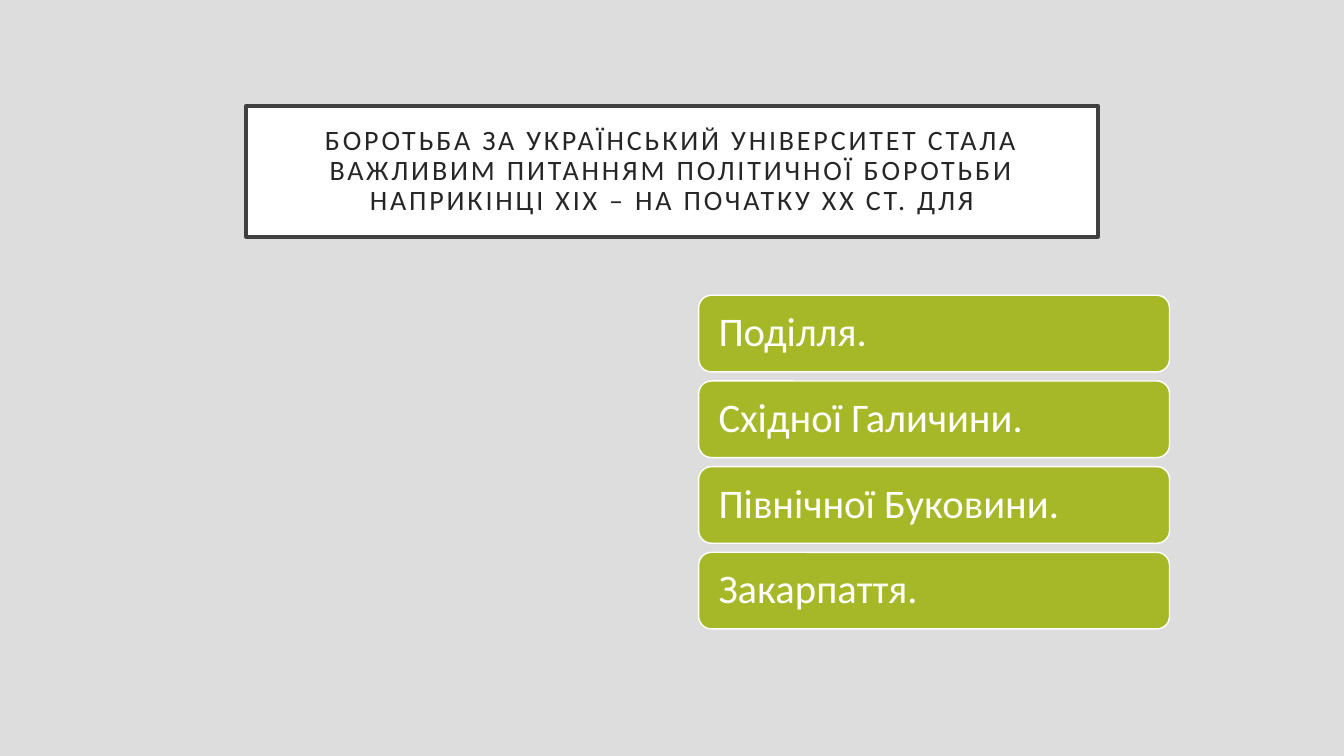
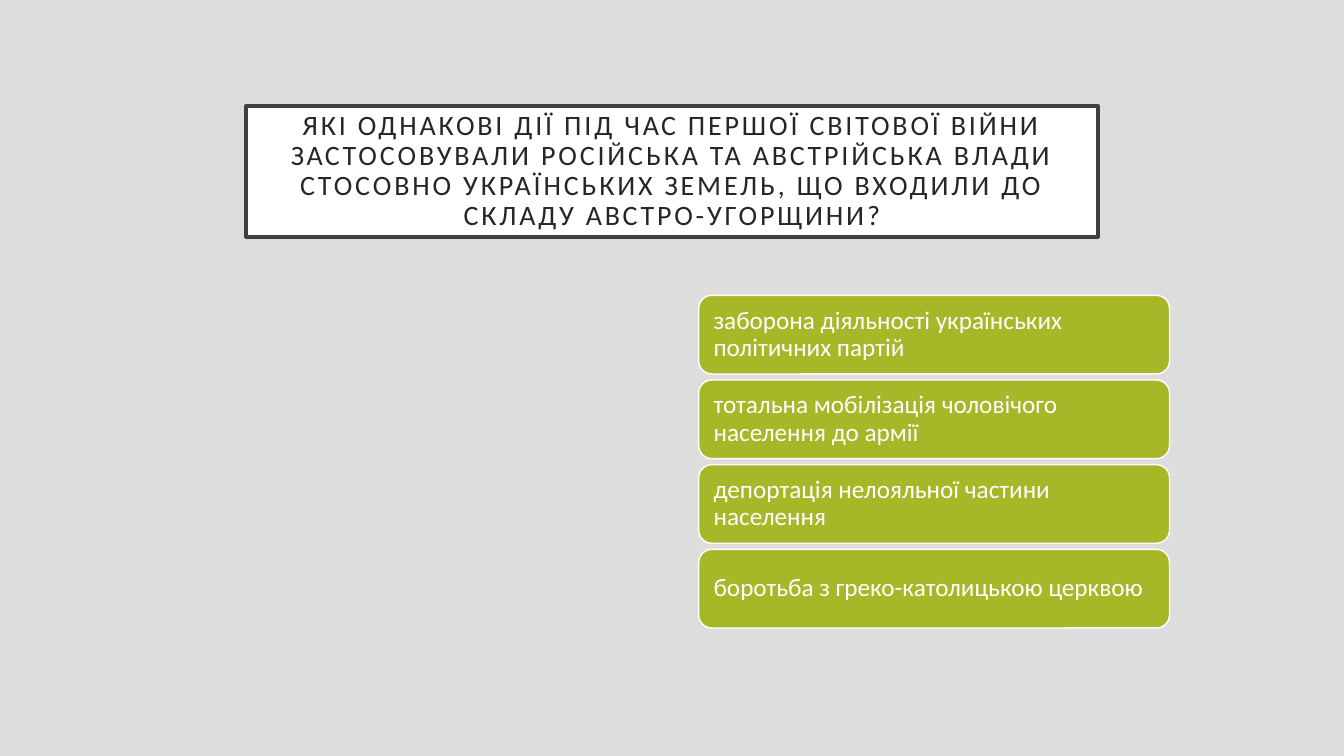
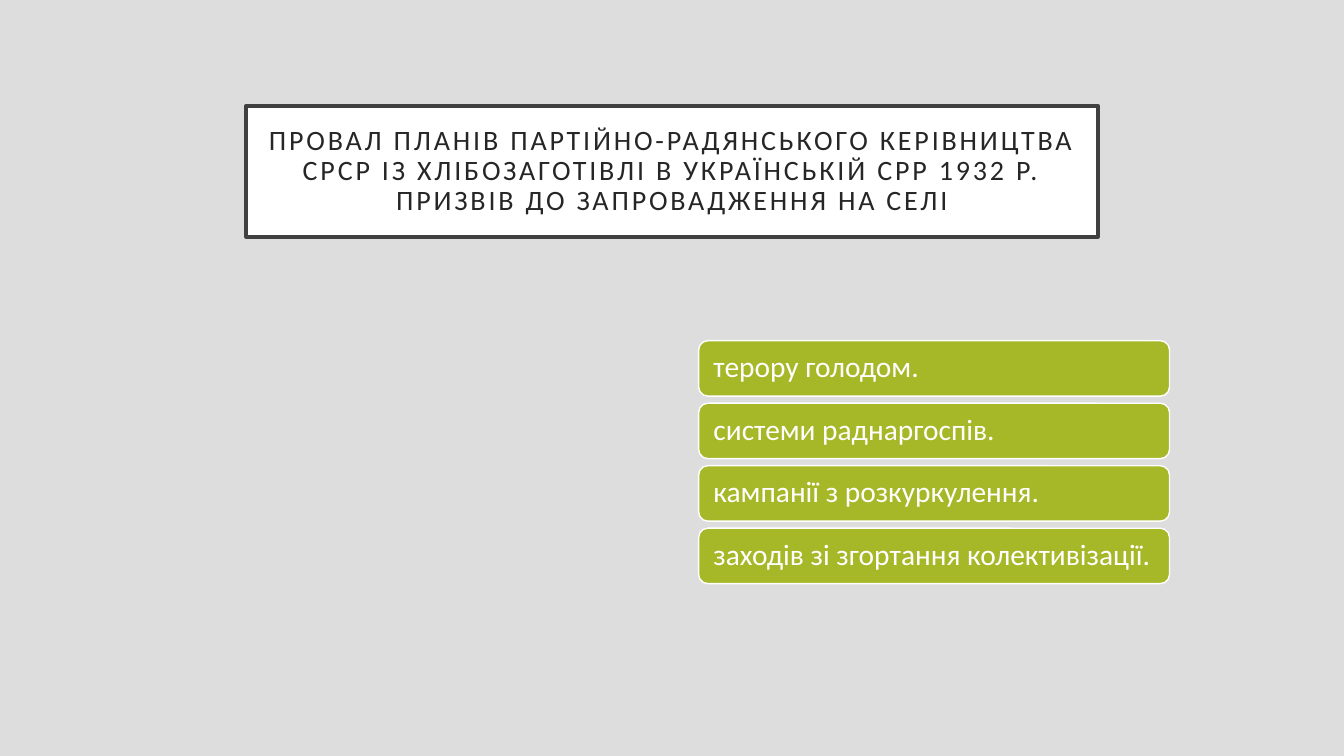
from pptx import Presentation
from pptx.dml.color import RGBColor
from pptx.enum.shapes import MSO_SHAPE
from pptx.enum.text import MSO_ANCHOR, PP_ALIGN
from pptx.util import Pt

PX = 9144
COLORS = {
    "back": "DDDDDD",
    "white": "FFFFFF",
    "frame": "404040",
    "ink": "262626",
    "green": "A6B727",
}
FONT = "Calibri"

QUIZ = [
    {
        "title": "БОРОТЬБА ЗА УКРАЇНСЬКИЙ УНІВЕРСИТЕТ СТАЛА ВАЖЛИВИМ ПИТАННЯМ "
                 "ПОЛІТИЧНОЇ БОРОТЬБИ НАПРИКІНЦІ ХІХ – НА ПОЧАТКУ ХХ СТ. ДЛЯ",
        "answers": ["Поділля.", "Східної Галичини.", "Північної Буковини.", "Закарпаття."],
        "height": 76, "gap": 9, "inset": 16, "size": 29,
    },
    {
        "title": "ЯКІ ОДНАКОВІ ДІЇ ПІД ЧАС ПЕРШОЇ СВІТОВОЇ ВІЙНИ ЗАСТОСОВУВАЛИ "
                 "РОСІЙСЬКА ТА АВСТРІЙСЬКА ВЛАДИ СТОСОВНО УКРАЇНСЬКИХ ЗЕМЕЛЬ, "
                 "ЩО ВХОДИЛИ ДО СКЛАДУ АВСТРО-УГОРЩИНИ?",
        "answers": [
            "заборона діяльності українських політичних партій",
            "тотальна мобілізація чоловічого населення до армії",
            "депортація нелояльної частини населення",
            "боротьба з греко-католицькою церквою",
        ],
        "height": 78, "gap": 6, "inset": 11, "size": 18,
    },
    {
        "title": "ПРОВАЛ ПЛАНІВ ПАРТІЙНО-РАДЯНСЬКОГО КЕРІВНИЦТВА СРСР ІЗ "
                 "ХЛІБОЗАГОТІВЛІ В УКРАЇНСЬКІЙ СРР 1932 Р. ПРИЗВІВ ДО "
                 "ЗАПРОВАДЖЕННЯ НА СЕЛІ",
        "answers": [
            "терору голодом.",
            "системи раднаргоспів.",
            "кампанії з розкуркулення.",
            "заходів зі згортання колективізації.",
        ],
        "height": 55, "gap": 7, "inset": 12, "size": 21,
    },
]


class Deck:
    """Holds the shared style and the current slide."""

    def __init__(self):
        self.prs = Presentation()
        self.prs.slide_width = 1333 * PX
        self.prs.slide_height = 750 * PX
        self.s = None

    def color(self, name):
        return RGBColor.from_string(COLORS[name])

    def slide(self):
        self.s = self.prs.slides.add_slide(self.prs.slide_layouts[6])
        fill = self.s.background.fill
        fill.solid()
        fill.fore_color.rgb = self.color("back")

    def box(self, kind, at, fill, line, weight, text, size, ink, align, inset):
        sp = self.s.shapes.add_shape(kind, *(n * PX for n in at))
        sp.shadow.inherit = False
        sp.fill.solid()
        sp.fill.fore_color.rgb = self.color(fill)
        sp.line.color.rgb = self.color(line)
        sp.line.width = Pt(weight)
        tf = sp.text_frame
        tf.word_wrap = True
        tf.vertical_anchor = MSO_ANCHOR.MIDDLE
        tf.margin_left = tf.margin_right = inset * PX
        tf.margin_top = tf.margin_bottom = 0
        p = tf.paragraphs[0]
        p.alignment = align
        p.line_spacing = 0.9
        r = p.add_run()
        r.text = text
        r.font.name = FONT
        r.font.size = Pt(size)
        r.font.color.rgb = self.color(ink)
        return r

    def title(self, text):
        r = self.box(MSO_SHAPE.RECTANGLE, (244, 105, 845, 130), "white", "frame", 2.5,
                     text, 20, "ink", PP_ALIGN.CENTER, 20)
        r.font._element.set("spc", "200")

    def answers(self, texts, height, gap, inset, size):
        pitch = height + gap
        top = 458 - (len(texts) * pitch - gap) // 2
        for i, text in enumerate(texts):
            self.box(MSO_SHAPE.ROUNDED_RECTANGLE, (693, top + i * pitch, 467, height),
                     "green", "white", 1, text, size, "white", PP_ALIGN.LEFT, inset)


def main():
    deck = Deck()
    for q in QUIZ:
        deck.slide()
        deck.title(q["title"])
        deck.answers(q["answers"], q["height"], q["gap"], q["inset"], q["size"])
    deck.prs.save("out.pptx")


if __name__ == "__main__":
    main()
